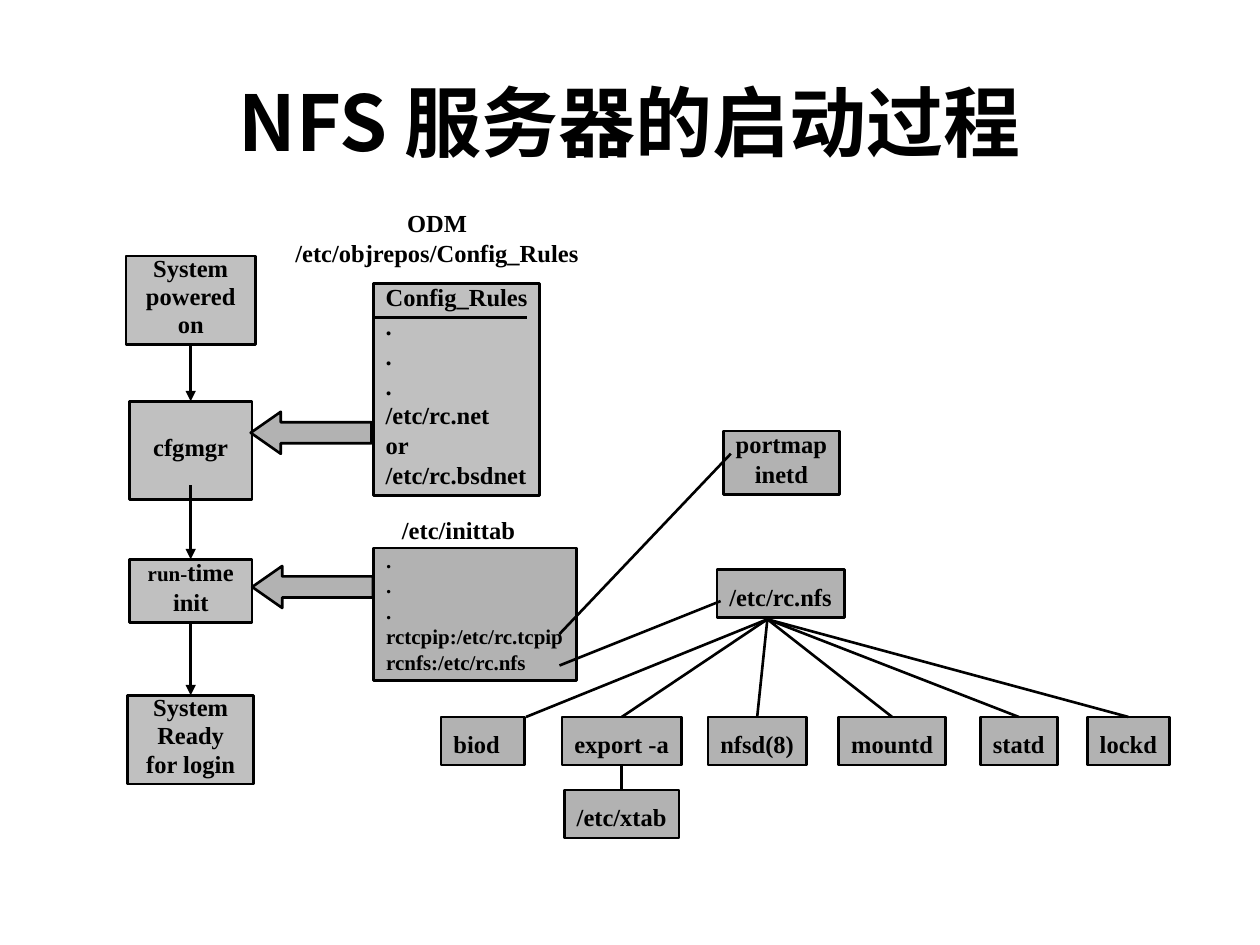
from collections import namedtuple

from lxml import etree
from pptx import Presentation
from pptx.dml.color import RGBColor
from pptx.enum.shapes import MSO_CONNECTOR, MSO_SHAPE
from pptx.enum.text import MSO_ANCHOR as Anchor, PP_ALIGN as Align
from pptx.oxml.ns import qn
from pptx.util import Pt

COLORS = {"ink": "000000", "light": "C0C0C0", "mid": "B2B2B2"}
BODY_FONT = "Times New Roman"
TITLE_FONT = "Noto Sans CJK SC"
TOP, BOTTOM = 0, 2

Box = namedtuple("Box", "x y w h")


def color(name):
    return RGBColor.from_string(COLORS[name])


def set_font(font, size, name=BODY_FONT):
    for attr, value in {"size": Pt(size), "bold": True, "name": name}.items():
        setattr(font, attr, value)
    font.color.rgb = color("ink")


def write(frame, lines, size=14, spacing=0.7, align=Align.CENTER,
          wrap=False, anchor=Anchor.TOP):
    """Write lines of text; a line may be a list of (text, size) runs."""
    frame.word_wrap = wrap
    frame.vertical_anchor = anchor
    for index, line in enumerate(lines):
        para = frame.paragraphs[0] if index == 0 else frame.add_paragraph()
        para.alignment = align
        para.line_spacing = spacing
        para.space_before = Pt(5.2 if size == 14 else 4.5) if index else Pt(0)
        for text, run_size in [(line, size)] if isinstance(line, str) else line:
            run = para.add_run()
            run.text = text
            set_font(run.font, run_size)


def block(slide, box, fill, kind=MSO_SHAPE.RECTANGLE):
    shape = slide.shapes.add_shape(kind, *map(Pt, box))
    shape.shadow.inherit = False
    shape.fill.solid()
    shape.fill.fore_color.rgb = color(fill)
    shape.line.color.rgb = color("ink")
    shape.line.width = Pt(1.5)
    return shape


def node(slide, box, lines, fill="mid", **style):
    shape = block(slide, box, fill)
    write(shape.text_frame, lines, **style)
    return shape


def label(slide, box, lines, **style):
    textbox = slide.shapes.add_textbox(*map(Pt, box))
    write(textbox.text_frame, lines, **style)


def line(slide, start=(0, 0), end=(0, 0), source=None, target=None, arrow=False):
    """Draw a line; a source or target shape is joined at its bottom or top."""
    connector = slide.shapes.add_connector(
        MSO_CONNECTOR.STRAIGHT, *map(Pt, (*start, *end)))
    if source is not None:
        connector.begin_connect(source, BOTTOM)
    if target is not None:
        connector.end_connect(target, TOP)
    connector.line.color.rgb = color("ink")
    connector.line.width = Pt(1.5)
    if arrow:
        etree.SubElement(connector.line._get_or_add_ln(), qn("a:tailEnd"),
                         type="triangle")
    etree.SubElement(connector._element.spPr, qn("a:effectLst"))


def feed_arrow(slide, box):
    """Block arrow from a configuration file to a boot step."""
    arrow = block(slide, box, "mid", MSO_SHAPE.LEFT_ARROW)
    arrow.adjustments[0], arrow.adjustments[1] = 0.5, 0.716


def add_title(slide, box):
    title = slide.shapes.title
    for attr, value in zip(("left", "top", "width", "height"), box):
        setattr(title, attr, Pt(value))
    frame = title.text_frame
    frame.vertical_anchor = Anchor.MIDDLE
    para = frame.paragraphs[0]
    para.alignment = Align.CENTER
    run = para.add_run()
    run.text = "NFS 服务器的启动过程"
    set_font(run.font, 44, TITLE_FONT)
    etree.SubElement(run.font._element, qn("a:ea"), typeface=TITLE_FONT)


def add_boot_steps(slide, box):
    """Column of boot steps, all centred on one axis."""
    axis = box.x + box.w / 2

    def step(y, w, h, lines, **style):
        return node(slide, Box(axis - w / 2, box.y + y, w, h), lines,
                    fill="light", **style)

    powered = step(0, 74, 50.8, ["System", "powered", "on"], spacing=0.65)
    cfgmgr = step(83, 70, 56, ["cfgmgr"], anchor=Anchor.MIDDLE)
    init = step(173.3, 70, 36.2, [[("run-", 12), ("time", 14)], "init"])
    ready = step(251, 72, 50.8, ["System", "Ready", "for login"], spacing=0.65)

    line(slide, source=powered, target=cfgmgr, arrow=True)
    line(slide, start=(axis, box.y + 131), target=init, arrow=True)
    line(slide, source=init, target=ready, arrow=True)


def add_config_rules(slide, box):
    """ODM rules file with its heading and the arrow to cfgmgr."""
    label(slide, Box(box.x - 63.5, box.y - 42, 200, 36),
          ["ODM", "/etc/objrepos/Config_Rules"])
    node(slide, box, ["Config_Rules", ".", ".", ".", "/etc/rc.net", "or",
                      "/etc/rc.bsdnet"], fill="light", align=Align.LEFT)
    rule_y = box.y + 19.3
    line(slide, (box.x - 0.5, rule_y), (box.x + 87.8, rule_y))
    feed_arrow(slide, Box(box.x - 70, box.y + 73.3, 69, 24))


def add_inittab(slide, box):
    """inittab file with its heading and the arrow to init."""
    label(slide, Box(box.x + 9, box.y - 26, 79, 27.4), ["/etc/inittab"],
          spacing=1.2, align=Align.LEFT)
    node(slide, box, [".", ".", ".", "rctcpip:/etc/rc.tcpip",
                      "rcnfs:/etc/rc.nfs"], size=12, align=Align.LEFT)
    feed_arrow(slide, Box(box.x - 69.5, box.y + 10.2, 69, 24))


def add_daemons(slide, box):
    """portmap and rc.nfs, with the daemons that rc.nfs starts."""
    x, y = box.x, box.y
    height = 27.4
    node(slide, Box(x + 161.3, y, 66.5, 36.2), ["portmap", "inetd"])
    node(slide, Box(x + 157.7, y + 79.2, 72.8, height), ["/etc/rc.nfs"],
         spacing=1.2)

    # Lines from the inittab entries
    line(slide, (x + 67.7, y + 116), (x + 165.6, y + 13))
    line(slide, (x + 67.7, y + 134), (x + 159.8, y + 97.2))

    # Daemons: name, left, width
    daemons = [("biod", 0, 47.6), ("export -a", 69.2, 68.2),
               ("nfsd(8)", 152.6, 56.2), ("mountd", 227.2, 61.2),
               ("statd", 308.2, 44), ("lockd", 369.4, 46.8)]
    row_y = y + 163.4
    apex = (x + 186.5, y + 107.6)
    nodes = {}
    for name, left, width in daemons:
        biod = name == "biod"
        nodes[name] = node(slide, Box(x + left, row_y, width, height), [name],
                           spacing=1.2, wrap=biod,
                           align=Align.LEFT if biod else Align.CENTER)
        if biod:
            line(slide, apex, (x + left + width + 1, row_y))
        else:
            line(slide, apex, target=nodes[name])

    xtab = node(slide, Box(x + 70.6, row_y + 41.8, 65.4, height),
                ["/etc/xtab"], spacing=1.2)
    line(slide, source=nodes["export -a"], target=xtab)


def main():
    prs = Presentation()
    prs.slide_width, prs.slide_height = Pt(720), Pt(540)
    slide = prs.slides.add_slide(prs.slide_layouts[5])
    add_title(slide, Box(54, 30, 612, 78))
    add_boot_steps(slide, Box(72, 146.3, 74, 301.8))
    add_config_rules(slide, Box(213.3, 162, 95, 121))
    add_inittab(slide, Box(213.6, 313.2, 115.8, 75.8))
    add_daemons(slide, Box(252, 246.3, 416.2, 232.6))
    prs.save("out.pptx")


if __name__ == "__main__":
    main()
